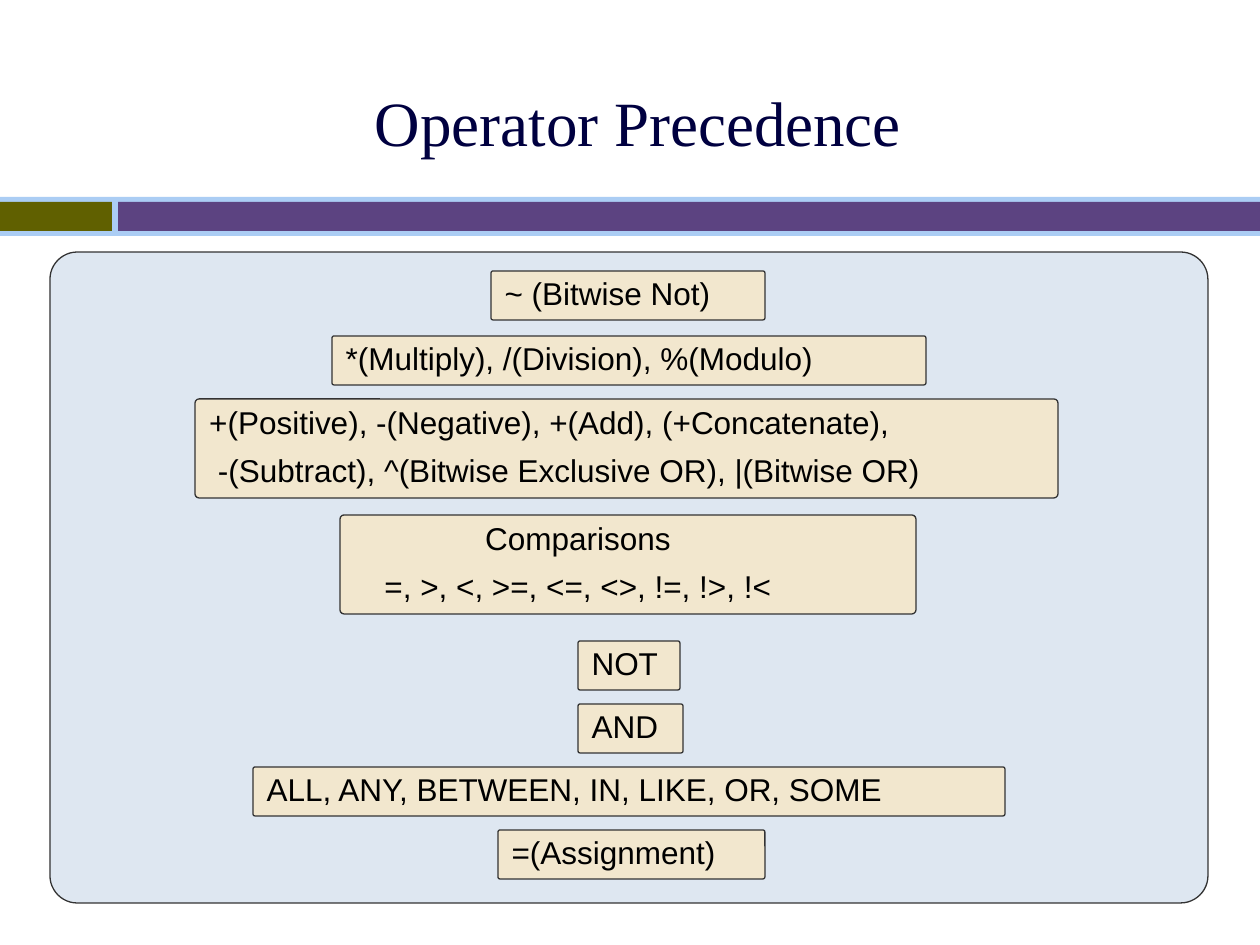
"""Build the Operator Precedence slide."""
import pptx
import pptx.dml.color
import pptx.enum.shapes
import pptx.enum.text
import pptx.util

EMU_PER_PX = 914400 / 126
ROUNDED = pptx.enum.shapes.MSO_SHAPE.ROUNDED_RECTANGLE
RECTANGLE = pptx.enum.shapes.MSO_SHAPE.RECTANGLE
MIDDLE = pptx.enum.text.MSO_ANCHOR.MIDDLE
LEFT = pptx.enum.text.PP_ALIGN.LEFT
CENTER = pptx.enum.text.PP_ALIGN.CENTER

SKY = pptx.dml.color.RGBColor(0xAB, 0xCD, 0xF4)
OLIVE = pptx.dml.color.RGBColor(0x60, 0x60, 0x00)
PURPLE = pptx.dml.color.RGBColor(0x5C, 0x43, 0x81)
NAVY = pptx.dml.color.RGBColor(0x00, 0x00, 0x40)
PALE_BLUE = pptx.dml.color.RGBColor(0xDE, 0xE7, 0xF1)
CREAM = pptx.dml.color.RGBColor(0xF2, 0xE7, 0xCE)
CHARCOAL = pptx.dml.color.RGBColor(0x33, 0x33, 0x33)
BLACK = pptx.dml.color.RGBColor(0x00, 0x00, 0x00)

BANDS = [
    ((0, 197, 1260, 39), SKY),
    ((0, 202, 112, 29), OLIVE),
    ((118, 202, 1142, 29), PURPLE),
]
PANEL = (50, 252, 1158, 651)
LEVELS = [
    (491, 271, 274, ["~ (Bitwise Not)"]),
    (332, 336, 594, ["*(Multiply), /(Division), %(Modulo)"]),
    (195, 399, 863, ["+(Positive), -(Negative), +(Add), (+Concatenate),",
                     " -(Subtract), ^(Bitwise Exclusive OR), |(Bitwise OR)"]),
    (578, 641, 102, ["NOT"]),
    (578, 704, 105, ["AND"]),
    (253, 767, 752, ["ALL, ANY, BETWEEN, IN, LIKE, OR, SOME"]),
    (498, 830, 267, ["=(Assignment)"]),
]
COMPARISONS = (340, 515, 576, ["Comparisons", "=, >, <, >=, <=, <>, !=, !>, !<"])


def px(length):
    """Turn pixels into EMU."""
    return pptx.util.Emu(round(length * EMU_PER_PX))


def add_block(slide, kind, place, fill, outline=None):
    """Add a filled shape, with a thin outline if a colour is given."""
    block = slide.shapes.add_shape(kind, *map(px, place))
    block.shadow.inherit = False
    block.fill.solid()
    block.fill.fore_color.rgb = fill
    if outline is None:
        block.line.fill.background()
    else:
        block.line.color.rgb = outline
        block.line.width = pptx.util.Pt(0.75)
    if kind == ROUNDED:
        block.adjustments[0] = 0.042
    return block


def write(paragraph, text, font, size, color, align):
    """Add one formatted run to an aligned paragraph."""
    paragraph.alignment = align
    run = paragraph.add_run()
    run.text = text
    run.font.name = font
    run.font.size = pptx.util.Pt(size)
    run.font.color.rgb = color


def add_level(slide, left, top, width, lines, align=LEFT, right_inset=13):
    """Add the box of one precedence level."""
    height = 50 * len(lines) - 1
    level = add_block(slide, ROUNDED, (left, top, width, height), CREAM, CHARCOAL)
    frame = level.text_frame
    frame.word_wrap = True
    frame.vertical_anchor = MIDDLE
    frame.margin_left = px(13)
    frame.margin_right = px(right_inset)
    for number, line in enumerate(lines):
        paragraph = frame.add_paragraph() if number else frame.paragraphs[0]
        paragraph.line_spacing = 0.9
        paragraph.space_before = pptx.util.Pt(8 if number else 0)
        write(paragraph, line, "Arial", 18, BLACK, align)


def set_title(slide, text):
    """Place and format the slide title."""
    title = slide.shapes.title
    title.left, title.top, title.width, title.height = map(px, (84, 53, 1124, 136))
    title.text_frame.vertical_anchor = MIDDLE
    write(title.text_frame.paragraphs[0], text, "Times New Roman", 36, NAVY, CENTER)


def main():
    """Build and save the presentation."""
    deck = pptx.Presentation()
    deck.slide_width, deck.slide_height = px(1260), px(945)
    slide = deck.slides.add_slide(deck.slide_layouts[5])
    for place, fill in BANDS:
        add_block(slide, RECTANGLE, place, fill)
    set_title(slide, "Operator Precedence ")
    add_block(slide, ROUNDED, PANEL, PALE_BLUE, CHARCOAL)
    for level in LEVELS:
        add_level(slide, *level)
    add_level(slide, *COMPARISONS, align=CENTER, right_inset=113)
    deck.save("out.pptx")


if __name__ == "__main__":
    main()
